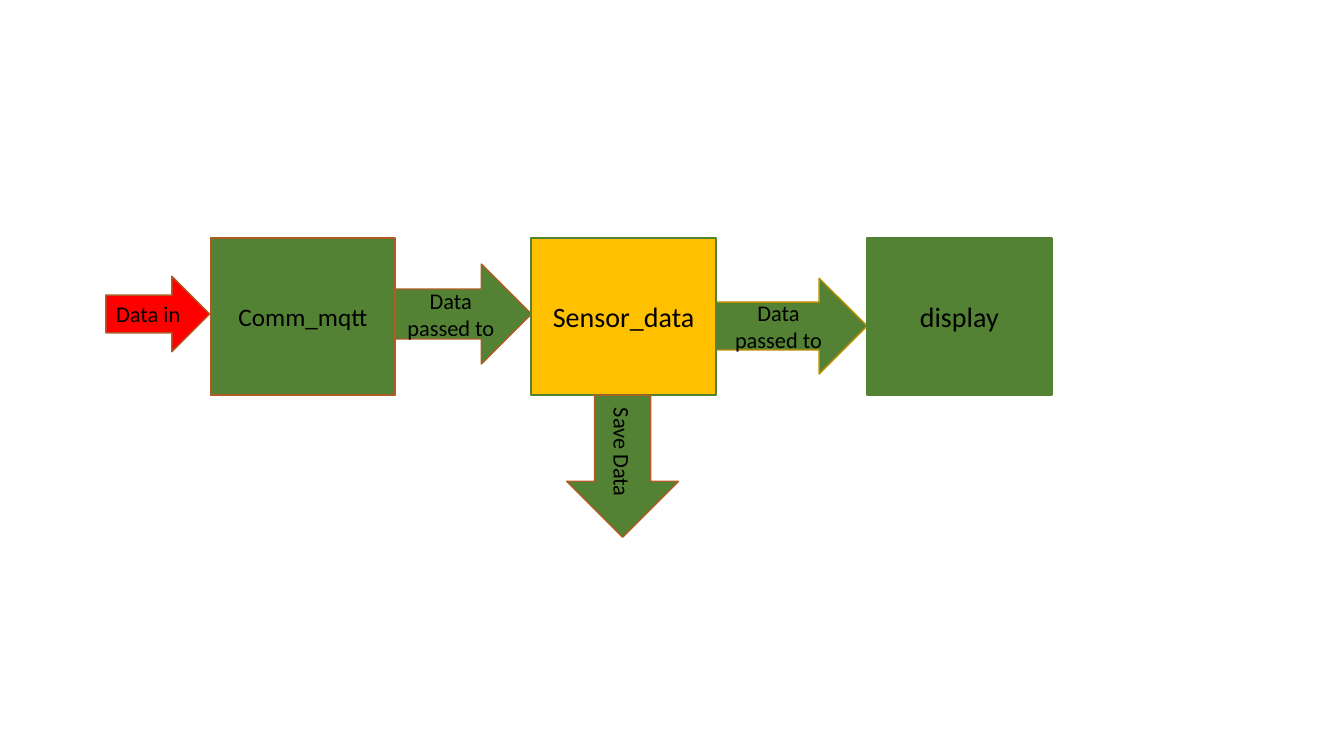
import pptx
import pptx.util
import pptx.dml.color
import pptx.enum.shapes
import pptx.enum.text

Inches = pptx.util.Inches
Pt = pptx.util.Pt
RGBColor = pptx.dml.color.RGBColor
Shape = pptx.enum.shapes.MSO_SHAPE

RED = RGBColor(0xFF, 0x00, 0x00)
GREEN = RGBColor(0x54, 0x82, 0x35)
AMBER = RGBColor(0xFF, 0xC0, 0x00)
RUST = RGBColor(0xAF, 0x5C, 0x24)
OCHRE = RGBColor(0xBD, 0x8E, 0x00)
BLACK = RGBColor(0x00, 0x00, 0x00)

BOX_TOP, BOX_WIDTH, BOX_HEIGHT = 2.36, 1.83, 1.56


class FlowPage:
    font_name = "Calibri"
    text_color = BLACK

    def __init__(self, deck):
        self.page = deck.slides.add_slide(deck.slide_layouts[6])

    def shape(self, kind, text, place, size, fill, line, weight):
        shape = self.page.shapes.add_shape(kind, *map(Inches, place))
        shape.shadow.inherit = False
        shape.fill.solid()
        shape.fill.fore_color.rgb = fill
        shape.line.color.rgb = line
        shape.line.width = Pt(weight)
        frame = shape.text_frame
        frame.word_wrap = True
        frame.vertical_anchor = pptx.enum.text.MSO_ANCHOR.MIDDLE
        para = frame.paragraphs[0]
        para.alignment = pptx.enum.text.PP_ALIGN.CENTER
        span = para.add_run()
        span.text = text
        font_format = {"name": self.font_name, "size": Pt(size)}
        for key, value in font_format.items():
            setattr(span.font, key, value)
        span.font.color.rgb = self.text_color
        return shape

    def box(self, text, left, size, fill, line, weight):
        place = (left, BOX_TOP, BOX_WIDTH, BOX_HEIGHT)
        return self.shape(Shape.RECTANGLE, text, place, size, fill, line, weight)

    def arrow(self, text, place, fill=GREEN, line=RUST, rotation=0):
        arrow = self.shape(Shape.RIGHT_ARROW, text, place, 16, fill, line, 1)
        arrow.rotation = rotation
        return arrow


deck = pptx.Presentation()
deck.slide_width = Inches(13.33)
deck.slide_height = Inches(7.5)

flow = FlowPage(deck)
flow.arrow("Data in", (1.05, 2.74, 1.03, 0.75), fill=RED)
flow.box("Comm_mqtt", 2.09, 18, GREEN, RUST, 1)
flow.arrow("Data passed to", (3.92, 2.62, 1.35, 0.99))
flow.arrow("Data passed to", (7.08, 2.76, 1.52, 0.95), line=OCHRE)
flow.box("Sensor_data", 5.27, 20, AMBER, GREEN, 1.5)
flow.box("display", 8.6, 20, GREEN, GREEN, 1.5)
flow.arrow("Save Data", (5.47, 4.07, 1.41, 1.11), rotation=90)

deck.save("out.pptx")
